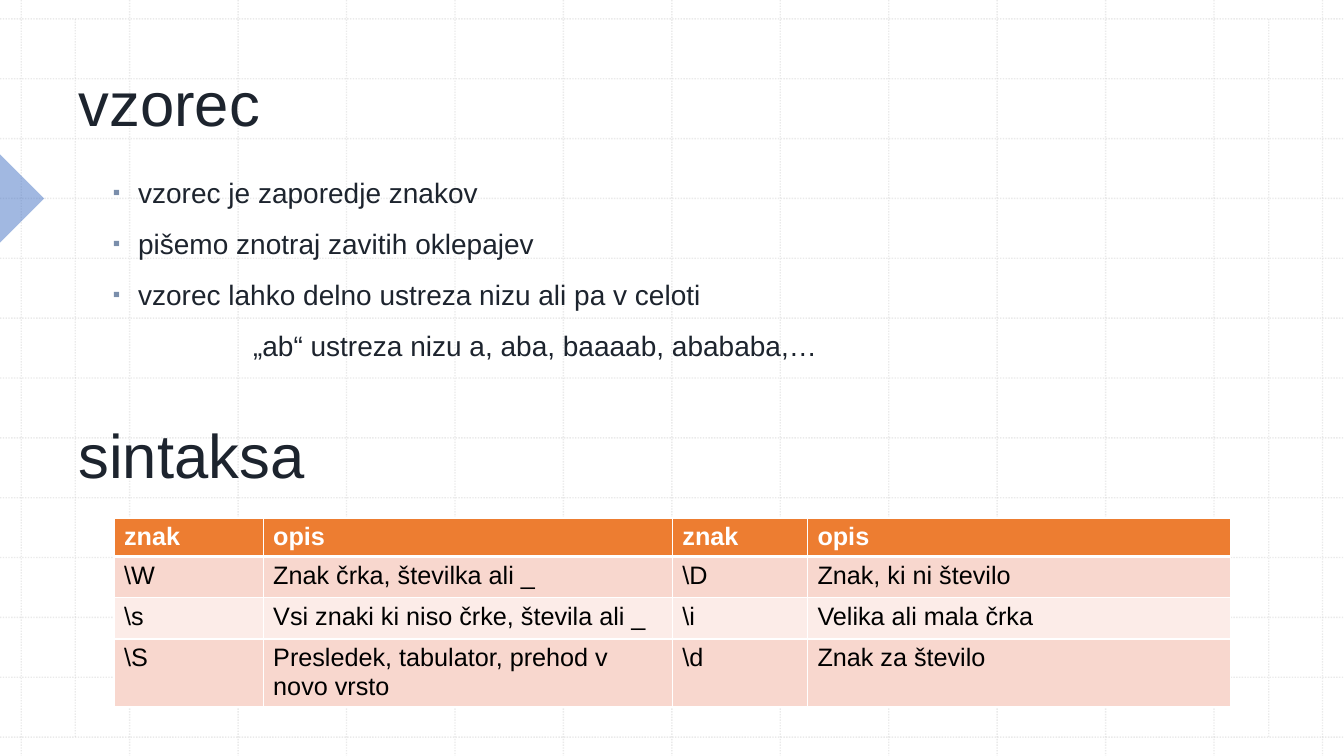
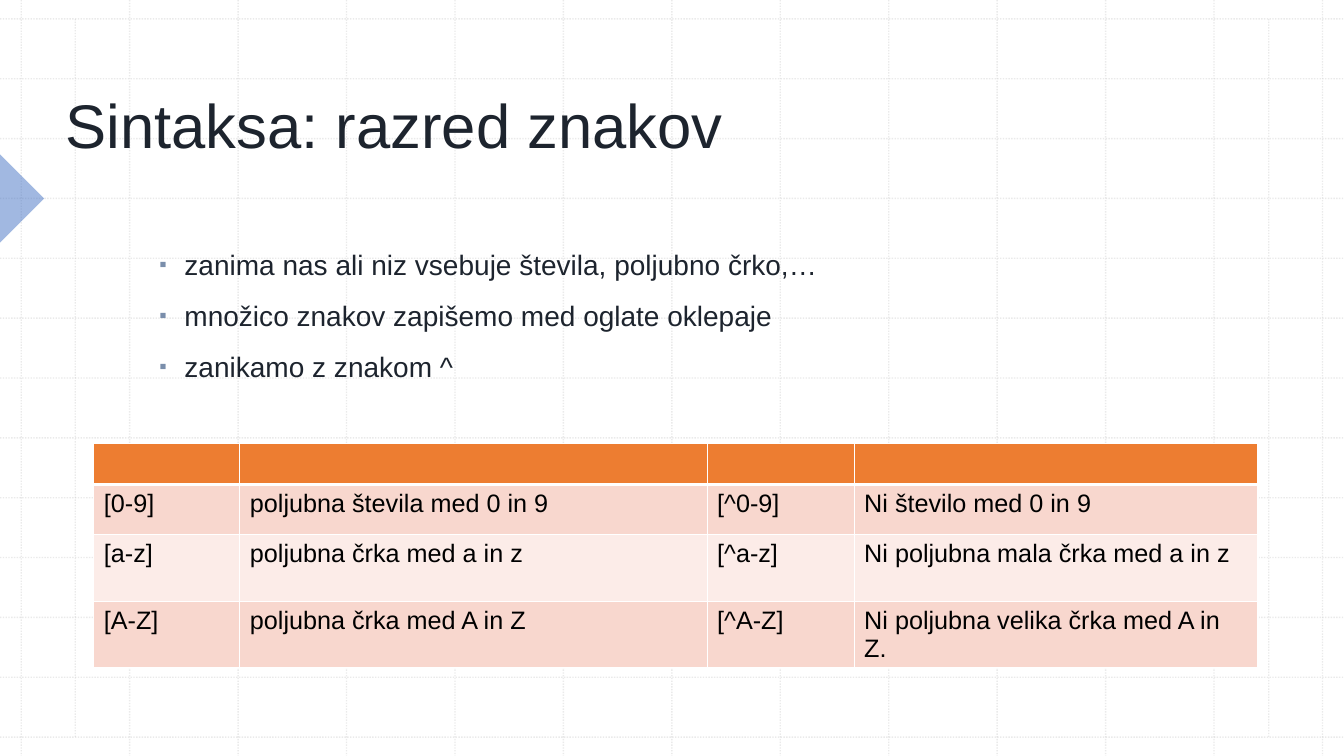
import pptx
import pptx.util
import pptx.dml.color
import pptx.enum.dml
import pptx.enum.shapes
import pptx.enum.text
import pptx.oxml
import pptx.oxml.ns
from lxml import etree

COLORS = {"ink": "1D242E", "bullet": "7A8EAB", "grid": "BCBCBC",
          "marker": "4472C4", "header": "ED7D31", "odd": "F8D7CE",
          "even": "FCECE8", "white": "FFFFFF", "black": "000000"}
FONT = "Arial"

deck = pptx.Presentation()
deck.slide_width = pptx.util.Inches(13.333)
deck.slide_height = pptx.util.Inches(7.5)
layout = deck.slide_layouts[1]


# Helpers
def area(left, top, width, height):
    """Turn percentages of the slide's size into a box."""
    across, down = deck.slide_width / 100, deck.slide_height / 100
    return (round(left * across), round(top * down),
            round(width * across), round(height * down))


def place(shape, box):
    shape.left, shape.top, shape.width, shape.height = box


def color(name):
    return pptx.dml.color.RGBColor.from_string(COLORS[name])


def add_xml(parent, tag, **attributes):
    child = etree.SubElement(parent, pptx.oxml.ns.qn(tag))
    for key, value in attributes.items():
        child.set(key, str(value))
    return child


def set_opacity(shape, percent):
    for tint in shape.element.spPr.iter(pptx.oxml.ns.qn("a:srgbClr")):
        add_xml(tint, "a:alpha", val=percent * 1000)


def write(para, text, size=20, ink="ink", bold=False):
    span = para.add_run()
    span.text = text
    span.font.name = FONT
    span.font.size = pptx.util.Pt(size)
    span.font.bold = bold
    span.font.color.rgb = color(ink)


# Shared background: dotted grid and marker, kept on the layout
def add_background(page):
    def grid_line(x1, y1, x2, y2):
        start, end = area(x1, y1, 0, 0), area(x2, y2, 0, 0)
        line = page.shapes.add_connector(
            pptx.enum.shapes.MSO_CONNECTOR.STRAIGHT, *start[:2], *end[:2])
        line.line.color.rgb = color("grid")
        line.line.width = pptx.util.Pt(1)
        line.line.dash_style = pptx.enum.dml.MSO_LINE.ROUND_DOT
        set_opacity(line, 30)
        add_xml(line.element.spPr, "a:effectLst")
        layout.shapes.element.append(line.element)

    steps = 12
    first_x, last_x, first_y, last_y = 1.58, 98.4, 2.5, 97.5
    for step in range(steps + 1):
        x = first_x + (last_x - first_x) * step / steps
        y = first_y + (last_y - first_y) * step / steps
        grid_line(x, 0, x, 100)
        grid_line(0, y, 100, y)
    for margin in (5.6, 94.4):
        grid_line(margin, first_y, margin, last_y)

    marker = page.shapes.add_shape(
        pptx.enum.shapes.MSO_SHAPE.RIGHT_TRIANGLE, *area(-2.33, 22.13, 4.65, 8.27))
    marker.rotation = 225
    marker.shadow.inherit = False
    marker.fill.solid()
    marker.fill.fore_color.rgb = color("marker")
    marker.line.fill.background()
    set_opacity(marker, 50)
    layout.shapes.element.append(marker.element)


# Headings and lists
def prepare_frame(shape, box, anchor):
    place(shape, box)
    frame = shape.text_frame
    frame.word_wrap = True
    frame.auto_size = pptx.enum.text.MSO_AUTO_SIZE.NONE
    frame.vertical_anchor = anchor
    return frame


def fill_heading(shape, box, text):
    frame = prepare_frame(shape, box, pptx.enum.text.MSO_ANCHOR.BOTTOM)
    para = frame.paragraphs[0]
    para.alignment = pptx.enum.text.PP_ALIGN.LEFT
    write(para, text, size=44)


def fill_list(shape, box, items, example=None):
    frame = prepare_frame(shape, box, pptx.enum.text.MSO_ANCHOR.TOP)
    texts = items + ([example] if example else [])
    for number, text in enumerate(texts):
        para = frame.add_paragraph() if number else frame.paragraphs[0]
        para.line_spacing = 1.1
        para.space_before = pptx.util.Pt(10)
        para.space_after = pptx.util.Pt(0)
        write(para, text)
        form = para._p.get_or_add_pPr()
        bulleted = number < len(items)
        form.set("marL", str(pptx.util.Inches(0.25 if bulleted else 1.39)))
        form.set("indent", str(pptx.util.Inches(-0.25 if bulleted else 0)))
        if bulleted:
            add_xml(add_xml(form, "a:buClr"), "a:srgbClr", val=COLORS["bullet"])
            add_xml(form, "a:buSzPct", val=75000)
            add_xml(form, "a:buFont", typeface=FONT)
            add_xml(form, "a:buChar", char="▪")
        else:
            add_xml(form, "a:buNone")


# Tables
def set_borders(cell, bottom):
    form = cell._tc.get_or_add_tcPr()
    for side, width in (("L", 1), ("R", 1), ("T", 1), ("B", bottom)):
        edge = add_xml(form, "a:ln" + side, w=pptx.util.Pt(width))
        add_xml(add_xml(edge, "a:solidFill"), "a:srgbClr", val=COLORS["white"])


def add_sign_table(page, box, rows, columns, heights):
    table = page.shapes.add_table(len(rows), len(columns), *box).table
    for column, share in zip(table.columns, columns):
        column.width = round(box[2] * share / sum(columns))
    for row, share in zip(table.rows, heights):
        row.height = round(box[3] * share / sum(heights))
    for r, texts in enumerate(rows):
        header = r == 0
        fill = "header" if header else "odd" if r % 2 else "even"
        for c, text in enumerate(texts):
            cell = table.cell(r, c)
            set_borders(cell, bottom=3 if header else 1)
            cell.fill.solid()
            cell.fill.fore_color.rgb = color(fill)
            if text:
                write(cell.text_frame.paragraphs[0], text, size=18,
                      ink="white" if header else "black", bold=header)


# Slides
def build_pattern_page():
    page = deck.slides.add_slide(layout)
    add_background(page)
    fill_heading(page.shapes.title, area(5.1, 7.87, 84.68, 11.2), "vzorec")
    fill_list(page.placeholders[1], area(7.65, 22.13, 84.68, 52),
              ["vzorec je zaporedje znakov",
               "pišemo znotraj zavitih oklepajev",
               "vzorec lahko delno ustreza nizu ali pa v celoti"],
              example="„ab“ ustreza nizu a, aba, baaaab, abababa,…")
    syntax_box = area(5.1, 54.13, 84.68, 11.47)
    fill_heading(page.shapes.add_textbox(*syntax_box), syntax_box, "sintaksa")
    add_sign_table(
        page, area(8.48, 68.53, 83.1, 24.8),
        [["znak", "opis", "znak", "opis"],
         ["\\W", "Znak črka, številka ali _", "\\D", "Znak, ki ni število"],
         ["\\s", "Vsi znaki ki niso črke, števila ali _", "\\i",
          "Velika ali mala črka"],
         ["\\S", "Presledek, tabulator, prehod v novo vrsto", "\\d",
          "Znak za število"]],
        columns=(1.48, 4.06, 1.34, 4.2), heights=(0.37, 0.41, 0.41, 0.67))


def build_class_page():
    page = deck.slides.add_slide(layout)
    fill_heading(page.shapes.title, area(4.13, 10.53, 84.68, 11.47),
                 "Sintaksa: razred znakov")
    fill_list(page.placeholders[1], area(11.1, 31.6, 84.68, 52),
              ["zanima nas ali niz vsebuje števila, poljubno črko,…",
               "množico znakov zapišemo med oglate oklepaje",
               "zanikamo z znakom ^"])
    add_sign_table(
        page, area(6.98, 58.67, 86.63, 29.2),
        [["", "", "", ""],
         ["[0-9]", "poljubna števila med 0 in 9", "[^0-9]",
          "Ni število med 0 in 9"],
         ["[a-z]", "poljubna črka med a in z", "[^a-z]",
          "Ni poljubna mala črka med a in z"],
         ["[A-Z]", "poljubna črka med A in Z", "[^A-Z]",
          "Ni poljubna velika črka med A in Z."]],
        columns=(1.45, 4.64, 1.46, 4.01), heights=(0.37, 0.5, 0.66, 0.66))


build_pattern_page()
build_class_page()
deck.save("out.pptx")
